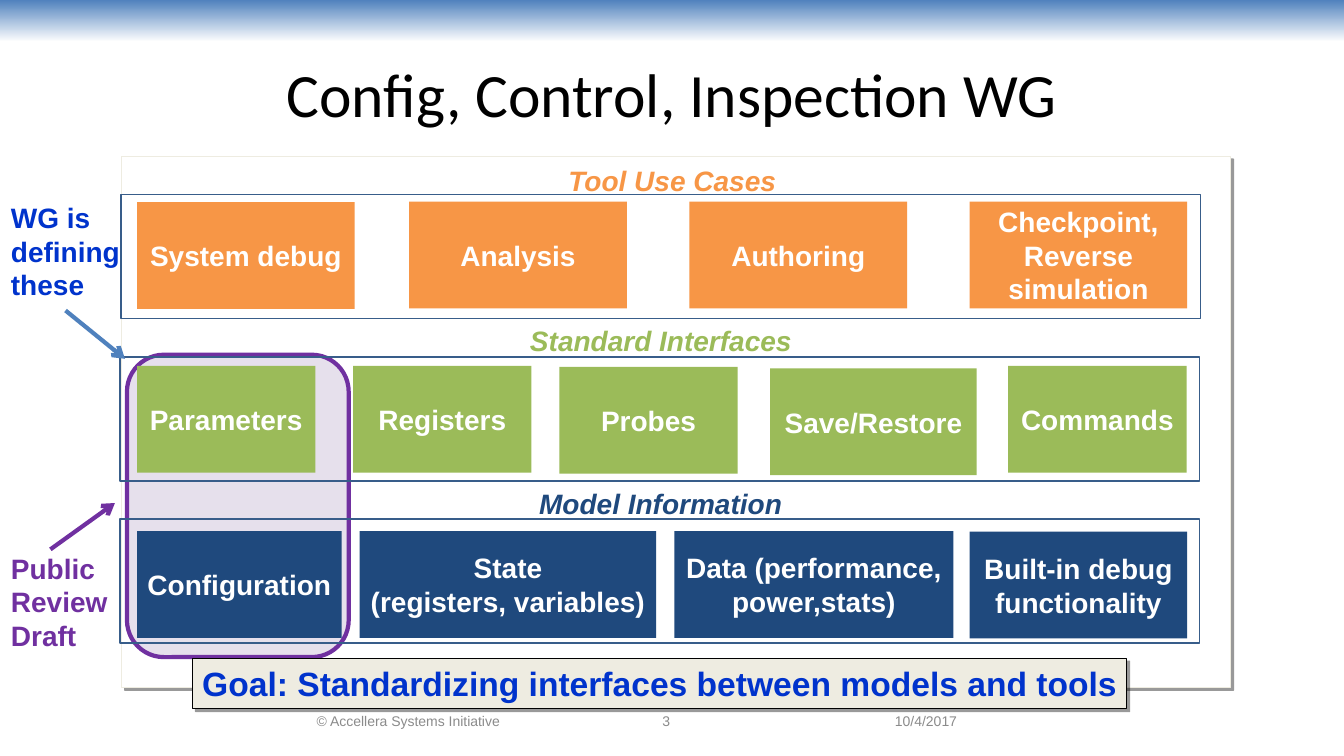
"""Build the Config, Control, Inspection working group slide."""
from lxml import etree
from pptx import Presentation
from pptx import util as u
from pptx.dml import color
from pptx.enum import shapes, text
from pptx.oxml import ns

THEME = {
    "fill": {"orange": "F79646", "green": "9BBB59", "navy": "1F497D", "blue": "4F81BD",
             "white": "FFFFFF", "cream": "EEECE1", "lilac": "E6E0EC", "purple": "7030A0",
             "frame": "385D8A", "royal": "0033CC", "grey": "8B8B8B", "black": "000000"},
    "title": {"size": u.Pt(44), "name": "Calibri", "bold": False},
    "goal": {"size": u.Pt(24), "name": "Arial", "bold": True},
    "body": {"size": u.Pt(20), "name": "Arial", "bold": True},
    "label": {"size": u.Pt(20), "name": "Arial", "bold": True, "italic": True},
    "footer": {"size": u.Pt(10), "name": "Arial", "bold": False},
}
RGB = {name: color.RGBColor.from_string(value) for name, value in THEME["fill"].items()}
LEFT, CENTER = text.PP_ALIGN.LEFT, text.PP_ALIGN.CENTER
TOP, MIDDLE = text.MSO_ANCHOR.TOP, text.MSO_ANCHOR.MIDDLE
RECT = shapes.MSO_SHAPE.RECTANGLE

deck = Presentation()
deck.slide_width, deck.slide_height = u.Pt(960), u.Pt(540)
page = deck.slides.add_slide(deck.slide_layouts[5])


def add_box(place, fill=None, line=None, width=1, kind=RECT, shadow=False):
    """Add a shape with the given fill, outline and optional hard shadow."""
    box = page.shapes.add_shape(kind, *map(u.Pt, place))
    box.shadow.inherit = False
    if fill:
        box.fill.solid()
        box.fill.fore_color.rgb = RGB[fill]
    else:
        box.fill.background()
    if line:
        box.line.color.rgb = RGB[line]
        box.line.width = u.Pt(width)
    else:
        box.line.fill.background()
    if shadow:
        effects = box._element.spPr.find(ns.qn("a:effectLst"))
        outer = etree.SubElement(effects, ns.qn("a:outerShdw"), dist="38100", dir="2700000",
                                 algn="tl", rotWithShape="0")
        shade = etree.SubElement(outer, ns.qn("a:srgbClr"), val=THEME["fill"]["black"])
        etree.SubElement(shade, ns.qn("a:alpha"), val="40000")
    return box


def write(box, words, style, ink, align=CENTER, anchor=MIDDLE, wrap=True):
    """Put styled words into a shape, one line break per newline."""
    frame = box.text_frame
    frame.word_wrap, frame.vertical_anchor = wrap, anchor
    para = frame.paragraphs[0]
    para.alignment = align
    for index, words_line in enumerate(words.split("\n")):
        if index:
            para.add_line_break()
        span = para.add_run()
        span.text = words_line
        for name, value in THEME[style].items():
            setattr(span.font, name, value)
        span.font.color.rgb = RGB[ink]


banner = add_box((0, 0, 960, 30))
banner.fill.gradient()
banner.fill.gradient_angle = 270
for stop, ink, position in zip(banner.fill.gradient_stops, ("blue", "white"), (0, 1)):
    stop.color.rgb, stop.position = RGB[ink], position

add_box((87, 111.6, 792, 379.4), "white", "cream", shadow=True)

title = page.shapes.title
title.left, title.top, title.width, title.height = map(u.Pt, (48, 21.6, 864, 90))
write(title, "Config, Control, Inspection WG", "title", "black")

footers = [
    ("10/4/2017", 632.2, 112.3, LEFT),
    ("© Accellera Systems Initiative", 175.7, 231.8, CENTER),
    ("3", 383.8, 184.3, CENTER),
]
for words, left, width, align in footers:
    footer = page.shapes.add_textbox(*map(u.Pt, (left, 500.4, width, 28.8)))
    write(footer, words, "footer", "grey", align)

add_box((90.7, 253.4, 158.4, 216), "lilac", "purple", 3, shapes.MSO_SHAPE.ROUNDED_RECTANGLE)

rows = [
    ("Tool Use Cases", "orange", 86.4, 144, 113, 398.9, 162.7, [
        ("System debug", 97.9, 155.5, 0.4),
        ("Analysis", 292.3, 155.5, 0),
        ("Authoring", 492.5, 155.5, 0),
        ("Checkpoint, Reverse simulation", 692.6, 155.5, 0)]),
    ("Standard Interfaces", "green", 85.7, 261.4, 227.5, 371.5, 201.6, [
        ("Parameters", 97.9, 127.4, 0),
        ("Registers", 252.3, 127.4, 0),
        ("Probes", 399.6, 127.4, 0.7),
        ("Save/Restore", 550.1, 147.6, 1.8),
        ("Commands", 720.2, 127.4, 0)]),
    ("Model Information", "navy", 85.7, 379.4, 344.2, 378, 187.9, [
        ("Configuration", 97.9, 146.2, 0),
        ("State\n(registers, variables)", 257, 211.7, 0),
        ("Data (performance, power,stats)", 481.7, 199.4, 0),
        ("Built-in debug functionality", 692.6, 155.5, 0.4)]),
]
for index, (name, ink, frame_left, top, label_top, label_left, label_width, blocks) in enumerate(rows):
    for words, left, width, drop in blocks:
        write(add_box((left, top + drop, width, 76.3), ink), words, "body", "white")
    add_box((frame_left, 139 + 115.9 * index, 771.1, 88.6), line="frame")
    label = page.shapes.add_textbox(*map(u.Pt, (label_left, label_top, label_width, 31)))
    write(label, name, "label", ink, LEFT, TOP, wrap=False)

notes = [
    ("Public\nReview\nDraft", "purple", "purple", (0.7, 390.2, 83.5, 79.2), (36, 392.4, 82.1, 359.3)),
    ("WG is\ndefining\nthese", "royal", "blue", (0.7, 139.7, 92.2, 79.2), (46.8, 221.8, 89.3, 256.3)),
]
for words, ink, arrow_ink, place, ends in notes:
    write(page.shapes.add_textbox(*map(u.Pt, place)), words, "body", ink, LEFT, TOP, wrap=False)
    arrow = page.shapes.add_connector(shapes.MSO_CONNECTOR.STRAIGHT, *map(u.Pt, ends))
    arrow.line.color.rgb, arrow.line.width = RGB[arrow_ink], u.Pt(3)
    etree.SubElement(arrow.line._get_or_add_ln(), ns.qn("a:tailEnd"), type="arrow")
    etree.SubElement(arrow._element.spPr, ns.qn("a:effectLst"))

goal = add_box((137.5, 470.2, 667.4, 36), "cream", "black", 0.75, shadow=True)
write(goal, "Goal: Standardizing interfaces between models and tools", "goal", "royal",
      anchor=TOP, wrap=False)

deck.save("out.pptx")
